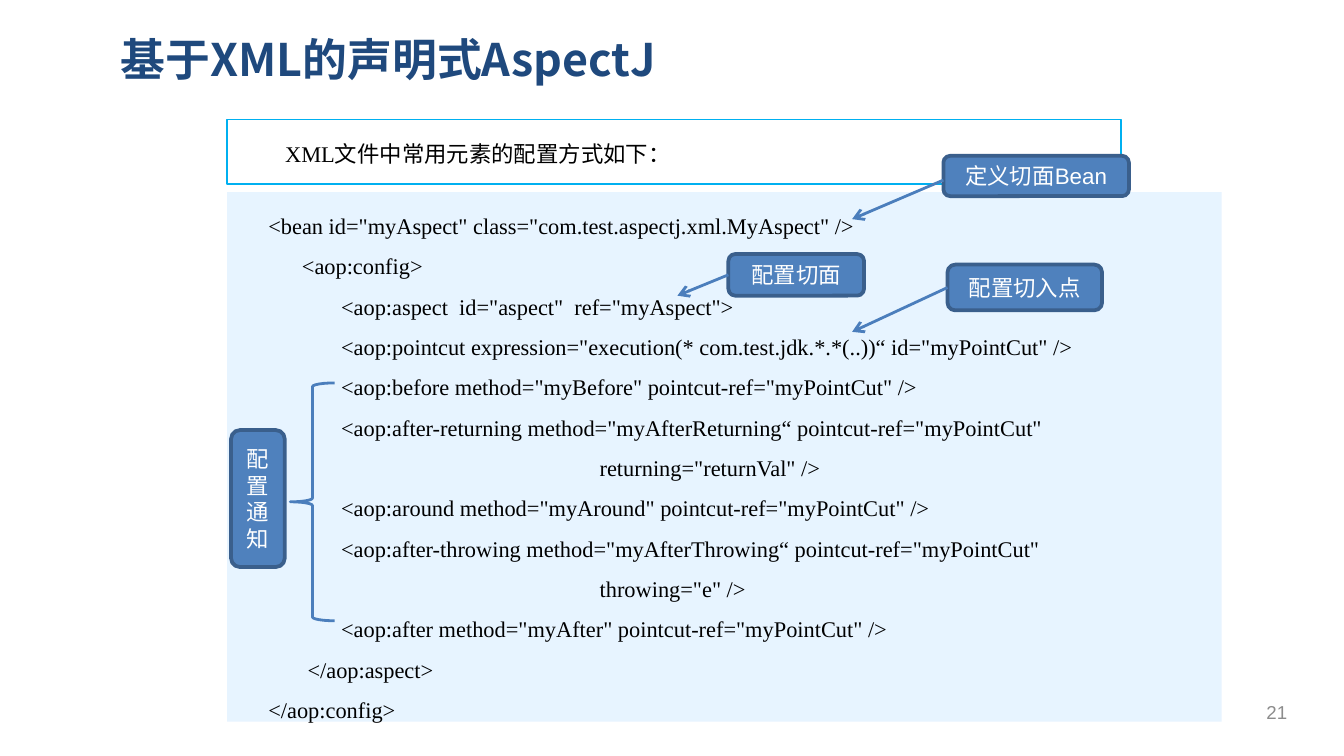
from lxml.etree import SubElement
from pptx import Presentation
from pptx.dml.color import RGBColor
from pptx.enum.shapes import MSO_CONNECTOR, MSO_SHAPE
from pptx.enum.text import MSO_ANCHOR, PP_ALIGN
from pptx.oxml.ns import qn
from pptx.util import Pt

NAVY = RGBColor(0x1F, 0x49, 0x7D)
BLUE = RGBColor(0x4F, 0x81, 0xBD)
EDGE = RGBColor(0x3A, 0x5F, 0x8C)
ARROW = RGBColor(0x4B, 0x7E, 0xBC)
CYAN = RGBColor(0x00, 0xB0, 0xF0)
PALE = RGBColor(0xE7, 0xF4, 0xFF)
GRAY = RGBColor(0x8C, 0x8C, 0x8C)
WHITE = RGBColor(0xFF, 0xFF, 0xFF)
BLACK = RGBColor(0, 0, 0)

SANS, SERIF, HAN = "Arial", "Times New Roman", "Noto Sans CJK SC"


class Deck:
    """Holds the style and the current slide; lengths are in points."""

    def __init__(self, wide, high):
        self.prs = Presentation()
        self.prs.slide_width, self.prs.slide_height = Pt(wide), Pt(high)
        self.slide = self.prs.slides.add_slide(self.prs.slide_layouts[0])
        sub = self.slide.placeholders[1]._element
        sub.getparent().remove(sub)

    def style(self, para, size, face, color, bold=False):
        font = para.font
        font.size, font.name, font.bold = Pt(size), face, bold
        font.color.rgb = color
        SubElement(font._element, qn("a:ea")).set("typeface", HAN)

    def title(self, text, x, y, w, h):
        box = self.slide.shapes.title
        box.left, box.top, box.width, box.height = map(Pt, (x, y, w, h))
        frame = box.text_frame
        frame.text = text
        frame.margin_left = frame.margin_right = Pt(5)
        frame.margin_top = frame.margin_bottom = Pt(3)
        frame.vertical_anchor = MSO_ANCHOR.BOTTOM
        para = frame.paragraphs[0]
        para.alignment = PP_ALIGN.LEFT
        self.style(para, 24, HAN, NAVY, True)

    def shape(self, kind, x, y, w, h, fill=None, line=None, width=1):
        item = self.slide.shapes.add_shape(kind, Pt(x), Pt(y), Pt(w), Pt(h))
        item.shadow.inherit = False
        if fill is None:
            item.fill.background()
        else:
            item.fill.solid()
            item.fill.fore_color.rgb = fill
        if line is None:
            item.line.fill.background()
        else:
            item.line.color.rgb = line
            item.line.width = Pt(width)
        return item

    def panel(self, rows, x, y, w, h, fill, line=None):
        """A rectangle with left-aligned rows, each an (indent, text) pair."""
        item = self.shape(MSO_SHAPE.RECTANGLE, x, y, w, h, fill, line, 0.75)
        frame = item.text_frame
        frame.vertical_anchor = MSO_ANCHOR.TOP
        for i, (indent, text) in enumerate(rows):
            para = frame.add_paragraph() if i else frame.paragraphs[0]
            para.text = text
            para.alignment = PP_ALIGN.LEFT
            para.line_spacing = Pt(21.6)
            para._p.get_or_add_pPr().set("marL", str(Pt(indent)))
            self.style(para, 12, SERIF, BLACK)
        return item

    def label(self, text, x, y, w, h):
        item = self.shape(MSO_SHAPE.ROUNDED_RECTANGLE, x, y, w, h, BLUE, EDGE, 2)
        frame = item.text_frame
        frame.text = text
        frame.word_wrap = True
        frame.vertical_anchor = MSO_ANCHOR.MIDDLE
        para = frame.paragraphs[0]
        para.alignment = PP_ALIGN.CENTER
        self.style(para, 12, SANS, WHITE)
        return item

    def arrow(self, x1, y1, x2, y2, start=None):
        line = self.slide.shapes.add_connector(
            MSO_CONNECTOR.STRAIGHT, Pt(x1), Pt(y1), Pt(x2), Pt(y2))
        if start is not None:
            line.begin_connect(start, 1)
        line.line.color.rgb = ARROW
        line.line.width = Pt(1.5)
        SubElement(line.line._get_or_add_ln(), qn("a:tailEnd")).set("type", "arrow")
        SubElement(line._element.spPr, qn("a:effectLst"))

    def number(self, text, x, y, w, h):
        box = self.slide.shapes.add_textbox(Pt(x), Pt(y), Pt(w), Pt(h))
        frame = box.text_frame
        frame.text = text
        frame.word_wrap = True
        frame.vertical_anchor = MSO_ANCHOR.MIDDLE
        para = frame.paragraphs[0]
        para.alignment = PP_ALIGN.CENTER
        self.style(para, 10, SANS, GRAY)


# Left indents of the code levels
ROOT, CONF, CLOSE, ITEM, WRAP = 15, 33, 36, 54, 192.5

CODE = [
    (ROOT, '<bean id="myAspect" class="com.test.aspectj.xml.MyAspect" />'),
    (CONF, '<aop:config>'),
    (ITEM, '<aop:aspect  id="aspect"  ref="myAspect">'),
    (ITEM, '<aop:pointcut expression="execution(* com.test.jdk.*.*(..))“ id="myPointCut" />'),
    (ITEM, '<aop:before method="myBefore" pointcut-ref="myPointCut" />'),
    (ITEM, '<aop:after-returning method="myAfterReturning“ pointcut-ref="myPointCut"'),
    (WRAP, 'returning="returnVal" />'),
    (ITEM, '<aop:around method="myAround" pointcut-ref="myPointCut" />'),
    (ITEM, '<aop:after-throwing method="myAfterThrowing“ pointcut-ref="myPointCut"'),
    (WRAP, 'throwing="e" />'),
    (ITEM, '<aop:after method="myAfter" pointcut-ref="myPointCut" />'),
    (CLOSE, '</aop:aspect>'),
    (ROOT, '</aop:config>'),
]


def main():
    deck = Deck(720, 405)

    # Heading and introduction
    intro = deck.panel([(24, "XML文件中常用元素的配置方式如下：")],
                       121.7, 64.1, 478.8, 34.6, WHITE, CYAN)
    tint = intro.fill._xPr.find(".//" + qn("a:srgbClr"))
    SubElement(tint, qn("a:alpha")).set("val", "90000")
    deck.title("基于XML的声明式AspectJ", 59.8, 13, 629.3, 36)
    deck.number("21", 666.7, 370.8, 34.6, 21.6)

    # Code listing
    deck.panel(CODE, 121.7, 103, 532.8, 283.7, PALE)

    # Labels with arrows into the code
    deck.label("定义切面Bean", 505.4, 83.5, 99.4, 21.6)
    deck.arrow(505.4, 96.5, 456.5, 117.4)
    aspect = deck.label("配置切面", 390.2, 136.1, 72.7, 22.3)
    deck.arrow(390.2, 147.6, 362.9, 158.4, aspect)
    point = deck.label("配置切入点", 507.6, 141.8, 82.8, 24.5)
    deck.arrow(507.6, 154.1, 456.5, 177.8, point)

    # Brace around the advice elements
    deck.shape(MSO_SHAPE.LEFT_BRACE, 155.5, 205.2, 23.8, 127.4, line=ARROW, width=1.5)
    deck.label("配置通知", 123.8, 230.4, 28.8, 73.4)

    deck.prs.save("out.pptx")


if __name__ == "__main__":
    main()
